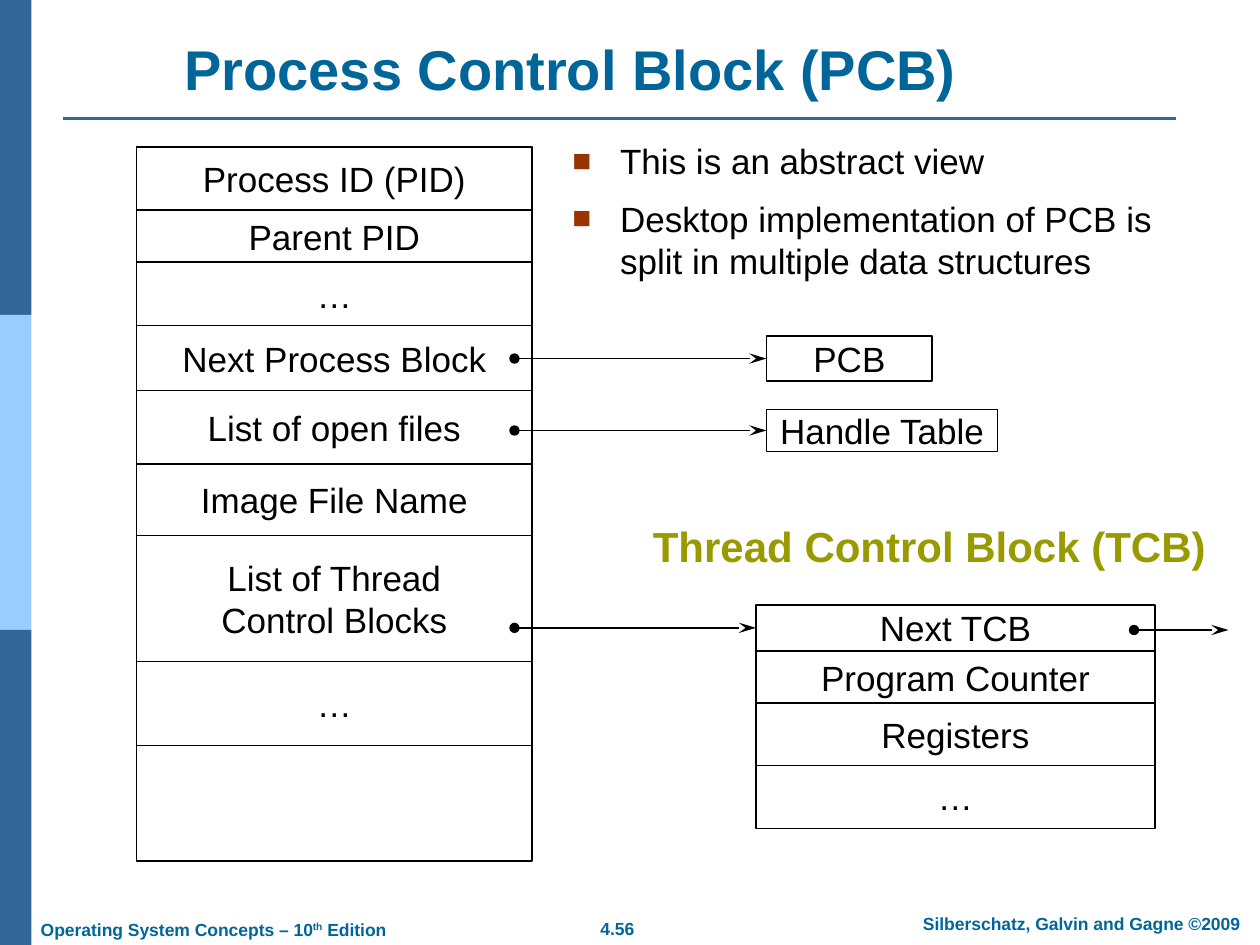
from lxml.etree import SubElement
from pptx import Presentation
from pptx.dml.color import RGBColor
from pptx.enum.shapes import MSO_CONNECTOR as Connector, MSO_SHAPE as Shape
from pptx.enum.text import MSO_ANCHOR as Anchor, MSO_AUTO_SIZE as AutoSize, PP_ALIGN as Align
from pptx.oxml.ns import qn
from pptx.util import Inches, Pt

NAVY = RGBColor(0x33, 0x66, 0x99)
SKY = RGBColor(0x99, 0xCC, 0xFF)
TEAL = RGBColor(0x00, 0x66, 0x99)
OLIVE = RGBColor(0x99, 0x99, 0x00)
BLACK = RGBColor(0, 0, 0)
BULLET = "993300"

CELL = Inches(1) / 12  # the slide is a grid of 120 columns by 90 rows


def write(shape, runs, size, color, bold=False, align=Align.CENTER, anchor=Anchor.MIDDLE, wrap=False):
    """Write runs into the shape's first paragraph, breaking lines at newlines; return the runs."""
    frame = shape.text_frame
    frame.word_wrap, frame.vertical_anchor = wrap, anchor
    frame.auto_size = AutoSize.NONE
    paragraph = frame.paragraphs[0]
    paragraph.alignment = align
    for text in runs:
        for index, line in enumerate(text.split("\n")):
            if index:
                paragraph.add_line_break()
            run = paragraph.add_run()
            run.text = line
            for name, value in {"name": "Arial", "size": Pt(size), "bold": bold}.items():
                setattr(run.font, name, value)
            run.font.color.rgb = color
    return paragraph.runs


def add_line(x1, y1, x2, y2, color, width, arrow=False):
    line = slide.shapes.add_connector(
        Connector.STRAIGHT, *(round(v * CELL) for v in (x1, y1, x2, y2)))
    line.line.color.rgb, line.line.width = color, Pt(width)
    if arrow:
        outline = line.line._get_or_add_ln()
        SubElement(outline, qn("a:headEnd"), type="oval")
        SubElement(outline, qn("a:tailEnd"), type="stealth", w="med", len="lg")
    SubElement(line._element.spPr, qn("a:effectLst"))
    return line


presentation = Presentation()
presentation.slide_width, presentation.slide_height = Inches(10), Inches(7.5)
slide = presentation.slides.add_slide(presentation.slide_layouts[1])

# Side bar in three equal bands, and the rule under the title
for band, color in enumerate((NAVY, SKY, NAVY)):
    bar = slide.shapes.add_shape(
        Shape.RECTANGLE, 0, round(band * 30 * CELL), round(3 * CELL), round(30 * CELL))
    bar.shadow.inherit = False
    bar.fill.solid()
    bar.fill.fore_color.rgb = color
    bar.line.fill.background()
add_line(6, 11.3, 112, 11.3, NAVY, 1.5)

# Title and list
title, body = slide.shapes.title, slide.placeholders[1]
for placeholder, place in ((title, (9.3, 0, 90.1, 10.3)), (body, (53.3, 12.7, 59.5, 16))):
    for name, value in zip(("left", "top", "width", "height"), place):
        setattr(placeholder, name, round(value * CELL))
write(title, ["Process Control Block (PCB)"], 32, TEAL, bold=True, anchor=Anchor.BOTTOM, wrap=True)

body.text_frame.auto_size = AutoSize.NONE
body.text_frame.text = ("This is an abstract view\n"
                        "Desktop implementation of PCB is split in multiple data structures")
for index, paragraph in enumerate(body.text_frame.paragraphs):
    properties = paragraph._p.get_or_add_pPr()
    properties.set("marL", str(Inches(0.38)))
    properties.set("indent", str(-Inches(0.38)))
    SubElement(SubElement(properties, qn("a:buClr")), qn("a:srgbClr"), val=BULLET)
    SubElement(properties, qn("a:buSzPct"), val="90000")
    SubElement(properties, qn("a:buFont"), typeface="Arial")
    SubElement(properties, qn("a:buChar"), char="■")
    paragraph.space_before = Pt(8.8 if index else 0)
    paragraph.font.name, paragraph.font.size = "Arial", Pt(20)
    paragraph.font.color.rgb = BLACK

# Both blocks are stacks of rows, each given as its top edge and label
process_rows = [(14, "Process ID (PID)"), (20, "Parent PID"), (25, "…"),
                (31, "Next Process Block"), (37.2, "List of open files"),
                (44.2, "Image File Name"), (51, "List of Thread\nControl Blocks"),
                (63, "…")]
thread_rows = [(57.6, "Next TCB"), (62, "Program Counter"), (67, "Registers"), (72.9, "…")]

boxes = [(13, 14, 37.7, 68, None),
         (73, 32, 15.8, 4.3, "PCB"), (73, 39, 22, 4, "Handle Table")]
for left, width, rows, end in ((13, 37.7, process_rows, 71), (72, 38, thread_rows, 78.9)):
    bottoms = [top for top, _ in rows[1:]] + [end]
    boxes += [(left, top, width, bottom - top, label)
              for (top, label), bottom in zip(rows, bottoms)]

targets = {}
for left, top, width, height, label in boxes:
    box = slide.shapes.add_shape(
        Shape.RECTANGLE, *(round(v * CELL) for v in (left, top, width, height)))
    box.shadow.inherit = False
    box.fill.background()
    box.line.color.rgb, box.line.width = BLACK, Pt(1)
    if label:
        write(box, [label], 20, BLACK)
        targets[label] = box

# Pointers from the process block to the middle of each target's left side
for label in ("PCB", "Handle Table", "Next TCB"):
    target = targets[label]
    middle = (target.top + target.height / 2) / CELL
    pointer = add_line(49, middle, target.left / CELL, middle, BLACK, 1, arrow=True)
    pointer.end_connect(target, 1)
add_line(108, 60, 117, 60, BLACK, 1, arrow=True)

# Thread block heading and footer
captions = [
    (61, 49, 55, 6, ["Thread Control Block (TCB)"], 24, OLIVE, Align.LEFT),
    (2.7, 86.9, 35.3, 3.2, ["Operating System Concepts – 10", "th", " Edition"], 10, TEAL, Align.LEFT),
    (52.9, 86.8, 11.8, 3.2, ["4.56"], 10, TEAL, Align.CENTER),
    (85.2, 86.4, 35.6, 3.2, ["Silberschatz, Galvin and Gagne ©2009"], 10, TEAL, Align.CENTER),
]
for *place, texts, size, color, align in captions:
    caption = slide.shapes.add_textbox(*(round(v * CELL) for v in place))
    for run in write(caption, texts, size, color, True, align, Anchor.TOP):
        if run.text == "th":
            run._r.get_or_add_rPr().set("baseline", "30000")

presentation.save("out.pptx")
